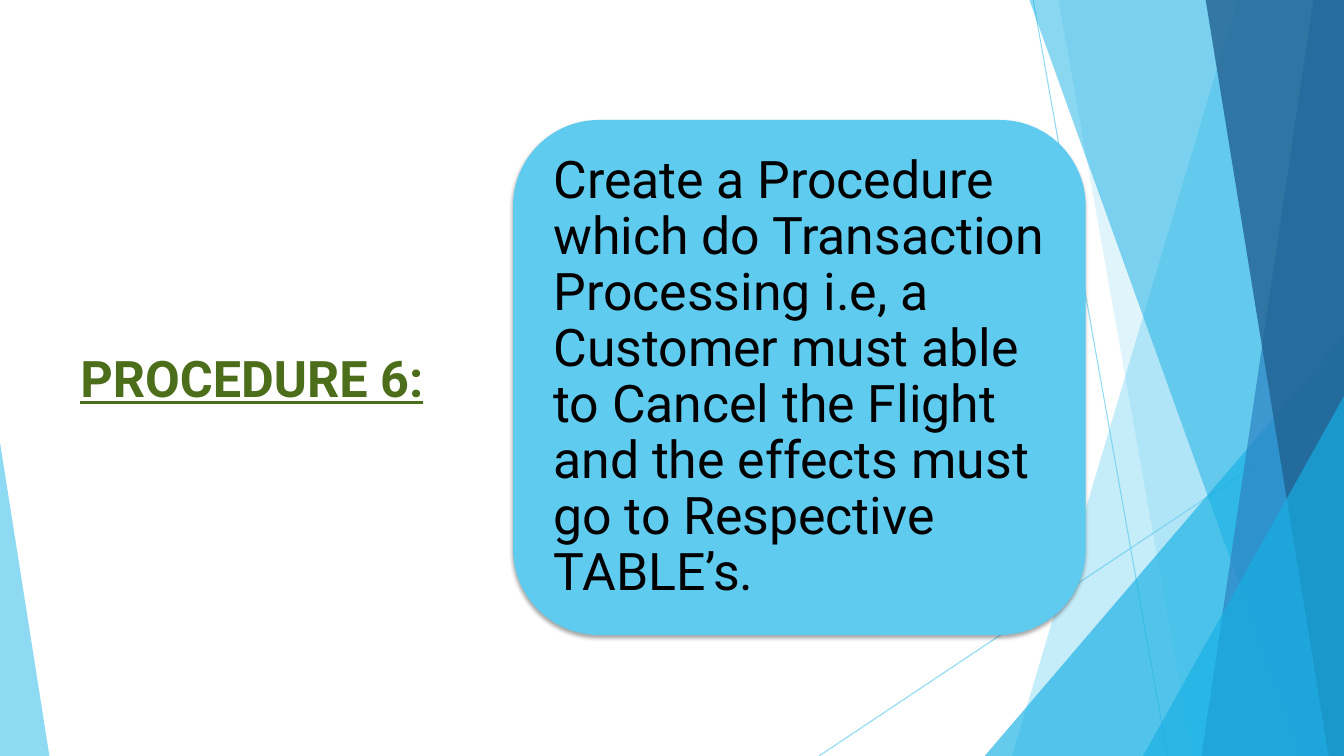
from dataclasses import dataclass

from lxml.etree import SubElement
from pptx import Presentation
from pptx.dml.color import RGBColor
from pptx.enum.shapes import MSO_CONNECTOR, MSO_SHAPE
from pptx.enum.text import MSO_ANCHOR
from pptx.oxml.ns import qn
from pptx.util import Pt

WIDTH, HEIGHT = 960, 540
BLEED_TOP = -0.6


@dataclass(frozen=True)
class Theme:
    sky: str = "5FCBEF"
    cyan: str = "17B0E4"
    blue: str = "2E83C3"
    navy: str = "226292"
    green: str = "4C6E1B"
    black: str = "000000"
    font: str = "Roboto"
    title_size: float = 36
    body_size: float = 37
    hairline: float = 0.75


@dataclass(frozen=True)
class Ray:
    start: tuple[float, float]
    end: tuple[float, float]


@dataclass(frozen=True)
class Band:
    top_x: float
    bottom_x: float
    color: str
    opacity: int


@dataclass(frozen=True)
class Wedge:
    left: float
    top: float
    width: float
    apex: float
    color: str
    opacity: int


@dataclass(frozen=True)
class Label:
    text: str
    box: tuple[float, float, float, float]
    margins: tuple[float, float]
    line_spacing: float
    font: dict


THEME = Theme()

RAYS = [Ray((738, 0), (834, HEIGHT)), Ray((WIDTH, 290), (585, HEIGHT))]

FACETS = [
    Band(884.2, 722.9, THEME.sky, 36),
    Band(756, 851.8, THEME.sky, 20),
    Wedge(703.4, 239.8, 256.6, 1, THEME.cyan, 66),
    Band(735.1, 929.5, THEME.cyan, 50),
    Band(938.2, 858.2, THEME.blue, 70),
    Band(861.1, 949, THEME.navy, 80),
    Wedge(816.5, 283, 143.5, 1, THEME.cyan, 66),
    Wedge(0, 316.1, 35.3, 0, THEME.sky, 70),
]

CARD_BOX = (366.5, 85.7, 409, 367.9)

LABELS = [
    Label("PROCEDURE 6:", (50.4, 64.1, 265, 411.1), (7.2, 3.6), 1.0,
          {"name": THEME.font, "size": Pt(THEME.title_size),
           "bold": True, "underline": True, "color": THEME.green}),
    Label("Create a Procedure which do Transaction Processing i.e, a Customer "
          "must able to Cancel the Flight and the effects must go to "
          "Respective TABLE’s.",
          (384.5, 103.7, 373, 331.9), (10.8, 10.8), 0.9,
          {"name": THEME.font, "size": Pt(THEME.body_size),
           "color": THEME.black}),
]


def points(values) -> list:
    return [Pt(value) for value in values]


def set_opacity(color_element, percent: int) -> None:
    SubElement(color_element, qn("a:alpha"), val=str(percent * 1000))


def fill_shape(shape, color: str, opacity: int = 100) -> None:
    shape.shadow.inherit = False
    shape.line.fill.background()
    shape.fill.solid()
    shape.fill.fore_color.rgb = RGBColor.from_string(color)
    if opacity < 100:
        set_opacity(shape.fill._xPr.find(".//" + qn("a:srgbClr")), opacity)


def draw_ray(shapes, ray: Ray) -> None:
    connector = shapes.add_connector(
        MSO_CONNECTOR.STRAIGHT, *points(ray.start + ray.end))
    connector.line.width = Pt(THEME.hairline)
    connector.line.color.rgb = RGBColor.from_string(THEME.sky)
    properties = connector._element.spPr
    set_opacity(properties.find(".//" + qn("a:srgbClr")), 70)
    SubElement(properties, qn("a:effectLst"))


def draw_band(shapes, band: Band) -> None:
    """Draw a panel with a slanted left edge that runs to the right slide edge."""
    builder = shapes.build_freeform(Pt(band.top_x), Pt(BLEED_TOP))
    corners = [(WIDTH, BLEED_TOP), (WIDTH, HEIGHT), (band.bottom_x, HEIGHT)]
    builder.add_line_segments([points(corner) for corner in corners])
    fill_shape(builder.convert_to_shape(), band.color, band.opacity)


def draw_wedge(shapes, wedge: Wedge) -> None:
    """Draw a right triangle that stands on the bottom slide edge."""
    box = (wedge.left, wedge.top, wedge.width, HEIGHT - wedge.top)
    shape = shapes.add_shape(MSO_SHAPE.ISOSCELES_TRIANGLE, *points(box))
    shape.adjustments[0] = wedge.apex
    fill_shape(shape, wedge.color, wedge.opacity)


def draw_card(shapes) -> None:
    card = shapes.add_shape(MSO_SHAPE.ROUNDED_RECTANGLE, *points(CARD_BOX))
    fill_shape(card, THEME.sky)
    effects = card._element.spPr.find(qn("a:effectLst"))
    shadow = SubElement(effects, qn("a:outerShdw"), blurRad=str(Pt(3)),
                        dist=str(Pt(2)), dir="5400000", rotWithShape="0")
    set_opacity(SubElement(shadow, qn("a:srgbClr"), val=THEME.black), 35)


def draw_label(shapes, label: Label) -> None:
    frame = shapes.add_textbox(*points(label.box)).text_frame
    horizontal, vertical = points(label.margins)
    frame_format = {
        "word_wrap": True, "vertical_anchor": MSO_ANCHOR.MIDDLE,
        "margin_left": horizontal, "margin_right": horizontal,
        "margin_top": vertical, "margin_bottom": vertical,
    }
    for name, value in frame_format.items():
        setattr(frame, name, value)
    paragraph = frame.paragraphs[0]
    paragraph.line_spacing = label.line_spacing
    run = paragraph.add_run()
    run.text = label.text
    for name, value in label.font.items():
        if name == "color":
            run.font.color.rgb = RGBColor.from_string(value)
        else:
            setattr(run.font, name, value)


def main() -> None:
    presentation = Presentation()
    presentation.slide_width, presentation.slide_height = Pt(WIDTH), Pt(HEIGHT)
    slide = presentation.slides.add_slide(presentation.slide_layouts[6])
    shapes = slide.shapes
    for ray in RAYS:
        draw_ray(shapes, ray)
    for facet in FACETS:
        if isinstance(facet, Band):
            draw_band(shapes, facet)
        else:
            draw_wedge(shapes, facet)
    draw_card(shapes)
    for label in LABELS:
        draw_label(shapes, label)
    presentation.save("out.pptx")


if __name__ == "__main__":
    main()
